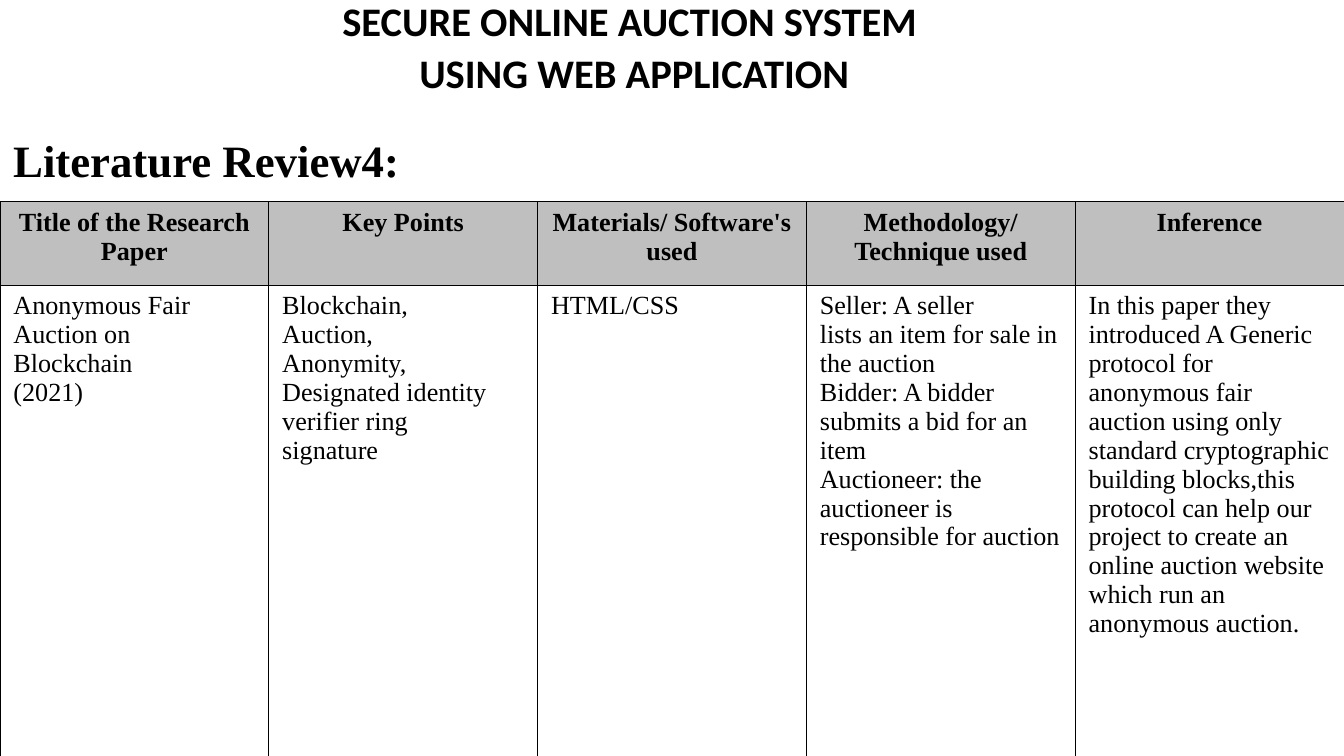
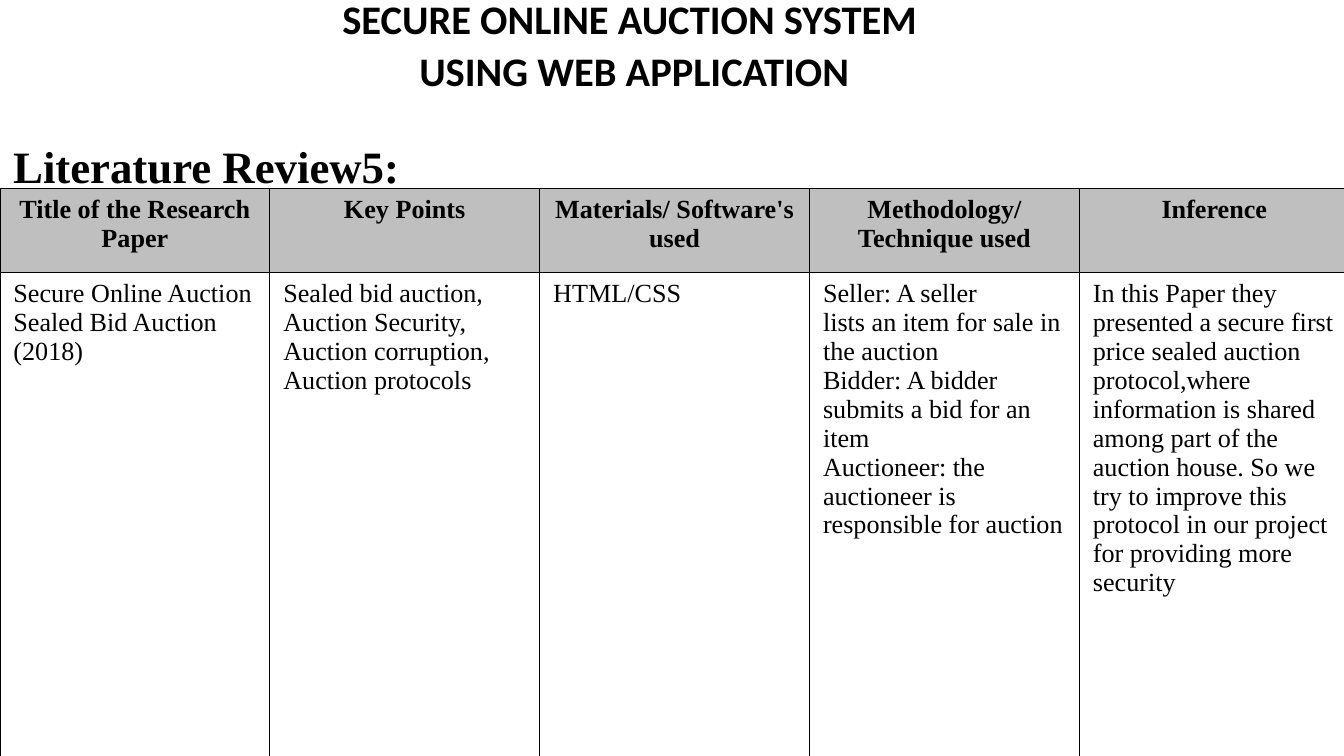
from pptx import Presentation
from pptx import util as u
from pptx.dml import color
from pptx.enum import text
from pptx.oxml import ns
from lxml import etree

BLACK = "000000"
WHITE = "FFFFFF"
HEADER_GREY = "BFBFBF"
SERIF = "Times New Roman"
SANS = "Calibri"
SLIDE_WIDTH = u.Inches(10)
SLIDE_HEIGHT = SLIDE_WIDTH * 9 // 16

TITLE = ["SECURE ONLINE AUCTION SYSTEM ", "USING WEB APPLICATION"]
HEADERS = [
    "Title of the Research Paper",
    "Key Points",
    "Materials/ Software's used",
    "Methodology/ Technique used",
    "Inference",
]
SOFTWARE = ["HTML/CSS"]
ROLES = [
    "Seller: A seller",
    "lists an item for sale in the auction",
    "Bidder: A bidder submits a bid for an item",
    "Auctioneer: the auctioneer is responsible for auction",
]

REVIEWS = [
    {
        "heading": "Literature Review4:",
        "title_top": -0.01,
        "heading_top": 0.94,
        "table_top": 1.5,
        "table_width": 10,
        "header_height": 0.62,
        "paper": ["Anonymous Fair Auction on Blockchain", "(2021)"],
        "key_points": [
            "Blockchain,",
            "Auction,",
            "Anonymity,",
            "Designated identity verifier ring",
            "signature",
        ],
        "inference": [
            "In this paper they introduced A Generic protocol for anonymous fair "
            "auction using only standard cryptographic building blocks,this "
            "protocol can help our project to create an online auction website "
            "which run an anonymous auction."
        ],
    },
    {
        "heading": "Literature Review5:",
        "title_top": -0.02,
        "heading_top": 0.98,
        "table_top": 1.4,
        "table_width": 10.04,
        "header_height": 0.63,
        "paper": ["Secure Online Auction Sealed Bid Auction (2018)"],
        "key_points": [
            "Sealed bid auction,",
            "Auction Security,",
            "Auction corruption,",
            "Auction protocols",
        ],
        "inference": [
            "In this Paper they presented a secure first price sealed auction "
            "protocol,where information is shared among part of the auction "
            "house. So we try to improve this protocol in our project for "
            "providing more security"
        ],
    },
]


def rgb(value):
    return color.RGBColor.from_string(value)


def write(frame, lines, font, size, bold, align):
    frame.text = "\n".join(lines)
    for para in frame.paragraphs:
        para.alignment = align
        for span in para.runs:
            span.font.name = font
            span.font.size = u.Pt(size)
            span.font.bold = bold
            span.font.color.rgb = rgb(BLACK)


def add_box(page, top, left, height):
    box = page.shapes.add_textbox(
        u.Inches(left), u.Inches(top), SLIDE_WIDTH, u.Inches(height)
    )
    frame = box.text_frame
    frame.word_wrap = True
    frame.vertical_anchor = text.MSO_ANCHOR.TOP
    return frame


def add_title(page, top):
    frame = add_box(page, top, -0.28, 0.94)
    write(frame, TITLE, SANS, 21.7, True, text.PP_ALIGN.CENTER)
    for para in frame.paragraphs:
        para.line_spacing = 0.8
    frame.paragraphs[1].space_before = u.Pt(7)


def add_heading(page, top, heading):
    frame = add_box(page, top, 0, 0.55)
    write(frame, [heading], SERIF, 24, True, text.PP_ALIGN.LEFT)
    indent = u.Inches(0.38)
    properties = frame.paragraphs[0]._p.get_or_add_pPr()
    properties.set("marL", str(indent))
    properties.set("indent", str(-indent))


def add_borders(cell):
    properties = cell._tc.get_or_add_tcPr()
    for position, side in enumerate(("lnL", "lnR", "lnT", "lnB")):
        line = etree.Element(ns.qn(f"a:{side}"), w=str(u.Pt(0.45)))
        fill = etree.SubElement(line, ns.qn("a:solidFill"))
        etree.SubElement(fill, ns.qn("a:srgbClr"), val=BLACK)
        properties.insert(position, line)


def fill_cell(cell, lines, is_header):
    cell.fill.solid()
    cell.fill.fore_color.rgb = rgb(HEADER_GREY if is_header else WHITE)
    align = text.PP_ALIGN.CENTER if is_header else text.PP_ALIGN.LEFT
    write(cell.text_frame, lines, SERIF, 14, is_header, align)
    add_borders(cell)


def add_review_table(page, top, width, header_height, rows):
    table_top = u.Inches(top)
    table_height = SLIDE_HEIGHT - table_top
    table = page.shapes.add_table(
        len(rows), len(HEADERS), u.Inches(0), table_top, u.Inches(width), table_height
    ).table
    table.horz_banding = False
    table.rows[0].height = u.Inches(header_height)
    table.rows[1].height = table_height - table.rows[0].height
    for r, entries in enumerate(rows):
        for c, lines in enumerate(entries):
            fill_cell(table.cell(r, c), lines, r == 0)


def add_review_slide(deck, review):
    page = deck.slides.add_slide(deck.slide_layouts[6])
    add_heading(page, review["heading_top"], review["heading"])
    rows = [
        [[header] for header in HEADERS],
        [review["paper"], review["key_points"], SOFTWARE, ROLES, review["inference"]],
    ]
    add_review_table(
        page, review["table_top"], review["table_width"], review["header_height"], rows
    )
    add_title(page, review["title_top"])


def main():
    deck = Presentation()
    deck.slide_width = SLIDE_WIDTH
    deck.slide_height = SLIDE_HEIGHT
    for review in REVIEWS:
        add_review_slide(deck, review)
    deck.save("out.pptx")


if __name__ == "__main__":
    main()
